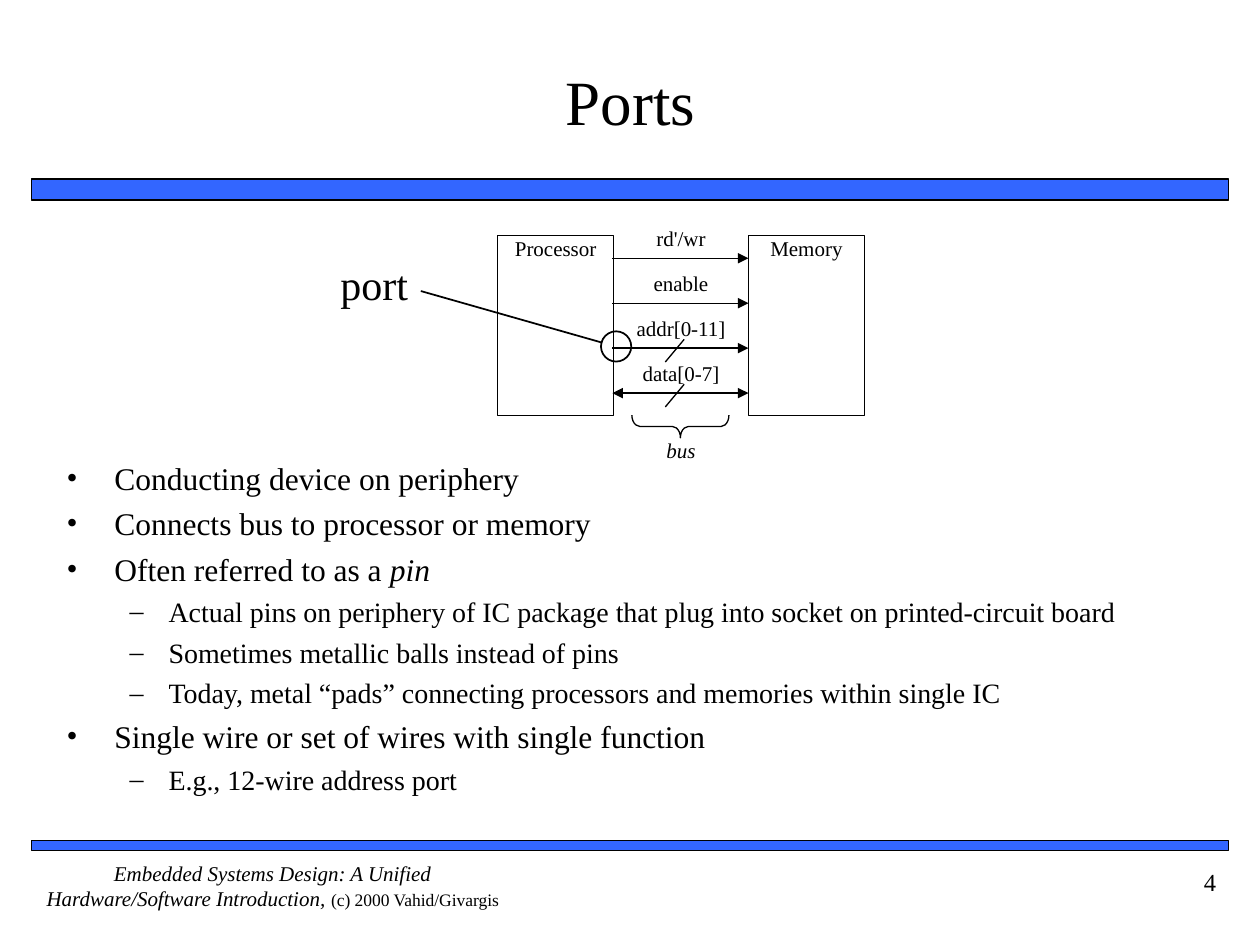
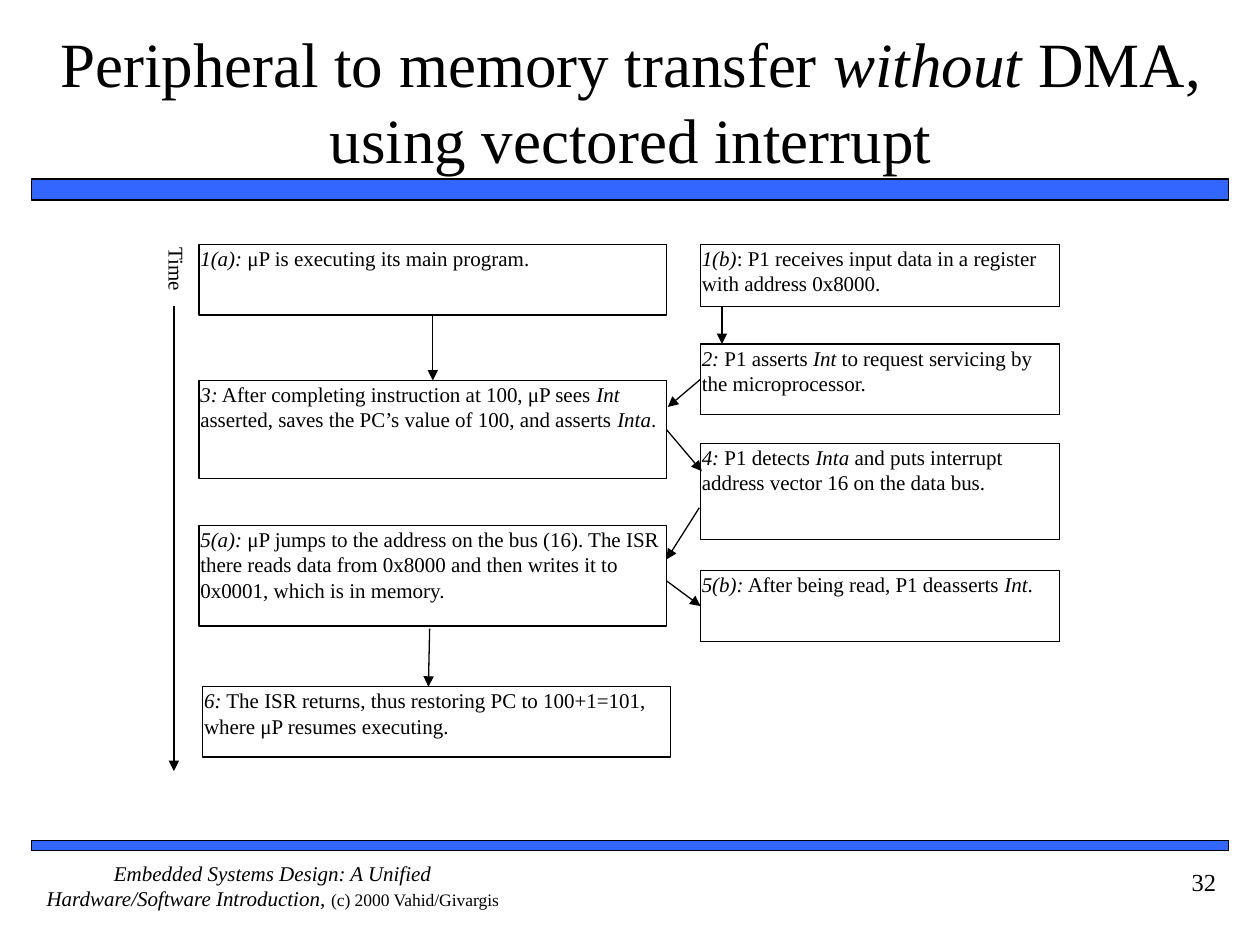
import pptx
import pptx.dml.color
import pptx.enum.shapes
import pptx.enum.text
import pptx.oxml
import pptx.oxml.ns
import pptx.util

Inches = pptx.util.Inches
Shapes = pptx.enum.shapes.MSO_SHAPE
Align = pptx.enum.text.PP_ALIGN
Anchor = pptx.enum.text.MSO_ANCHOR

FONT = "Times New Roman"
BLACK, WHITE, BLUE = "000000", "FFFFFF", "3366FF"
TOP, LEFT, BOTTOM, RIGHT = range(4)
BULLETS = [("•", 0.38, 0.38, 18, 4.5), ("–", 0.81, 0.31, 16, 4)]


def color(code):
    """Turn a hex string into a colour."""
    return pptx.dml.color.RGBColor.from_string(code)


def add_element(parent, tag, **attributes):
    """Append a drawing element with its attributes to a parent."""
    child = pptx.oxml.parse_xml(f"<a:{tag} {pptx.oxml.ns.nsdecls('a')}/>")
    for name, value in attributes.items():
        child.set(name, str(value))
    parent.append(child)


def write(para, text, size, align=Align.LEFT):
    """Fill a paragraph, with italics between asterisks."""
    para.alignment = align
    font = para.font
    font.name, font.size = FONT, pptx.util.Pt(size)
    font.color.rgb = color(BLACK)
    for position, part in enumerate(text.split("*")):
        if part:
            span = para.add_run()
            span.text = part
            if position % 2:
                span.font.italic = True


def set_frame(box, side=0, end=0, anchor=Anchor.TOP):
    """Set wrapping, insets and anchor of a box and return its text frame."""
    frame = box.text_frame
    frame.word_wrap = True
    frame.margin_left = frame.margin_right = Inches(side)
    frame.margin_top = frame.margin_bottom = Inches(end)
    frame.vertical_anchor = anchor
    return frame


def add_text(page, place, text, size=12, align=Align.CENTER, **frame_options):
    """Add a text box with one paragraph."""
    box = page.shapes.add_textbox(*map(Inches, place))
    write(set_frame(box, **frame_options).paragraphs[0], text, size, align)
    return box


def add_shape(page, kind, place, fill=None, weight=0.75):
    """Add an outlined preset shape."""
    shape = page.shapes.add_shape(kind, *map(Inches, place))
    shape.shadow.inherit = False
    if fill:
        shape.fill.solid()
        shape.fill.fore_color.rgb = color(fill)
    else:
        shape.fill.background()
    shape.line.color.rgb = color(BLACK)
    shape.line.width = pptx.util.Pt(weight)
    return shape


def add_line(page, start, end, weight=0.75, head=False, tail=False):
    """Add a straight line between two points, with optional arrowheads."""
    line = page.shapes.add_connector(
        pptx.enum.shapes.MSO_CONNECTOR.STRAIGHT, *map(Inches, start + end))
    line.line.color.rgb = color(BLACK)
    line.line.width = pptx.util.Pt(weight)
    for tag, wanted in (("headEnd", head), ("tailEnd", tail)):
        if wanted:
            add_element(line.line._get_or_add_ln(), tag, type="triangle")
    add_element(line._element.spPr, "effectLst")
    return line


def add_list(page, place, items):
    """Add a two-level bulleted list of (level, text) items."""
    box = page.shapes.add_textbox(*map(Inches, place))
    frame = set_frame(box, 0.1, 0.05)
    for number, (level, text) in enumerate(items):
        para = frame.add_paragraph() if number else frame.paragraphs[0]
        mark, margin, hang, size, gap = BULLETS[level]
        para.level = level
        properties = para._p.get_or_add_pPr()
        properties.set("marL", str(Inches(margin)))
        properties.set("indent", str(-Inches(hang)))
        add_element(properties, "buFont", typeface=FONT)
        add_element(properties, "buChar", char=mark)
        para.space_before = pptx.util.Pt(gap)
        write(para, text, size)


def add_page(deck, title, number):
    """Add a slide with its bands, footer, number and title."""
    page = deck.slides.add_slide(deck.slide_layouts[6])
    for top, height in ((1.42, 0.17), (6.67, 0.08)):
        add_shape(page, Shapes.RECTANGLE, (0.25, top, 9.5, height), BLUE, 1)
    footer = add_text(page, (0.25, 6.83, 3.83, 0.5),
                      "*Embedded Systems Design: A Unified Hardware/Software Introduction, *"
                      "(c) 2000 Vahid/Givargis")
    footer.text_frame.paragraphs[0].runs[-1].font.size = pptx.util.Pt(10)
    add_text(page, (8.75, 6.83, 1, 0.5), str(number), 14, Align.RIGHT, side=0.1, end=0.05)
    add_text(page, (0.42, 0.17, 9.17, 1.25), title, 36, end=0.05, anchor=Anchor.MIDDLE)
    return page


def add_bus_diagram(page):
    """Draw the processor, the memory and the bus wires between them."""
    for left, name in ((3.95, "Processor"), (5.94, "Memory")):
        unit = add_shape(page, Shapes.RECTANGLE, (left, 1.87, 0.92, 1.43), WHITE)
        write(set_frame(unit).paragraphs[0], name, 12, Align.CENTER)
    wires = [("rd'/wr", False, False), ("enable", False, False),
             ("addr[0-11]", True, False), ("data[0-7]", True, True)]
    for row, (name, wide, both_ways) in enumerate(wires):
        level = 2.05 + row * 1.07 / 3
        add_line(page, (4.86, level), (5.94, level), 1.25 if wide else 0.75, both_ways, True)
        add_text(page, (4.83, level - 0.26, 1.15, 0.36), name)
        if wide:
            add_line(page, (5.43, level - 0.07), (5.28, level + 0.11))
    brace = add_shape(page, Shapes.RIGHT_BRACE, (5.31, 3, 0.18, 0.77))
    brace.rotation = 90
    brace.adjustments[0] = 0.35
    add_text(page, (5.02, 3.47, 0.77, 0.36), "*bus*")
    add_shape(page, Shapes.OVAL, (4.77, 2.63, 0.24, 0.24), weight=1)
    add_line(page, (4.78, 2.72), (3.34, 2.31), 1)
    add_text(page, (2.59, 2.05, 0.76, 0.4), "port", 24)


def add_step(page, left, top, width, height, text):
    """Add one framed step of the transfer."""
    step = add_shape(page, Shapes.RECTANGLE, (left, top, width, height))
    write(set_frame(step, 0.01, 0.01).paragraphs[0], text, 12)
    return step


def add_transfer(page):
    """Draw the steps of the transfer along the time axis."""
    processor_steps = [
        (1.58, 1.94, 0.56, "*1(a):* μP is executing its main program."),
        (1.58, 3.02, 0.78, "*3:* After completing instruction at 100, μP sees *Int* asserted, "
                           "saves the PC’s value of 100, and asserts *Inta*."),
        (1.58, 4.17, 0.8, "*5(a):* μP jumps to the address on the bus (16). The ISR there reads "
                          "data from 0x8000 and then writes it to 0x0001, which is in memory."),
        (1.61, 5.45, 0.56, "*6:* The ISR returns, thus restoring PC to 100+1=101, "
                           "where μP resumes executing."),
    ]
    peripheral_steps = [
        (1.94, 0.49, "*1(b)*: P1 receives input data in a register with address 0x8000."),
        (2.73, 0.56, "*2:* P1 asserts *Int* to request servicing by the microprocessor."),
        (3.52, 0.76, "*4:* P1 detects *Inta* and puts interrupt address vector 16 "
                     "on the data bus."),
        (4.53, 0.56, "*5(b):* After being read, P1 deasserts *Int*."),
    ]
    main_program, save_counter, _, _ = [
        add_step(page, left, top, 3.71, height, text)
        for left, top, height, text in processor_steps]
    _, request, _, release = [
        add_step(page, 5.56, top, 2.85, height, text)
        for top, height, text in peripheral_steps]

    arrows = [
        ((3.45, 2.52), (3.45, 3.02), (main_program, BOTTOM), (save_counter, TOP)),
        ((5.73, 2.44), (5.73, 2.73), None, None),
        ((5.57, 2.99), (5.3, 3.23), (request, LEFT), None),
        ((5.29, 3.43), (5.57, 3.74), (save_counter, RIGHT), None),
        ((5.55, 4.03), (5.29, 4.44), None, None),
        ((5.29, 4.61), (5.57, 4.82), None, (release, LEFT)),
        ((3.41, 4.99), (3.4, 5.45), None, None),
        ((1.38, 2.43), (1.38, 6.12), None, None),
    ]
    for start, end, source, target in arrows:
        arrow = add_line(page, start, end, tail=True)
        if source:
            arrow.begin_connect(*source)
        if target:
            arrow.end_connect(*target)
    add_text(page, (1.16, 2.06, 0.44, 0.25), "Time", align=Align.LEFT).rotation = 90


def main():
    """Build and save the deck."""
    deck = pptx.Presentation()
    deck.slide_width, deck.slide_height = Inches(10), Inches(7.5)

    ports = add_page(deck, "Ports", 4)
    add_list(ports, (0.43, 3.59, 9.17, 3.09), [
        (0, "Conducting device on periphery"),
        (0, "Connects bus to processor or memory"),
        (0, "Often referred to as a *pin*"),
        (1, "Actual pins on periphery of IC package that plug into socket on "
            "printed-circuit board"),
        (1, "Sometimes metallic balls instead of pins"),
        (1, "Today, metal “pads” connecting processors and memories within single IC"),
        (0, "Single wire or set of wires with single function"),
        (1, "E.g., 12-wire address port"),
    ])
    add_bus_diagram(ports)

    transfer = add_page(
        deck, "Peripheral to memory transfer *without* DMA, using vectored interrupt", 32)
    add_transfer(transfer)
    deck.save("out.pptx")


if __name__ == "__main__":
    main()
